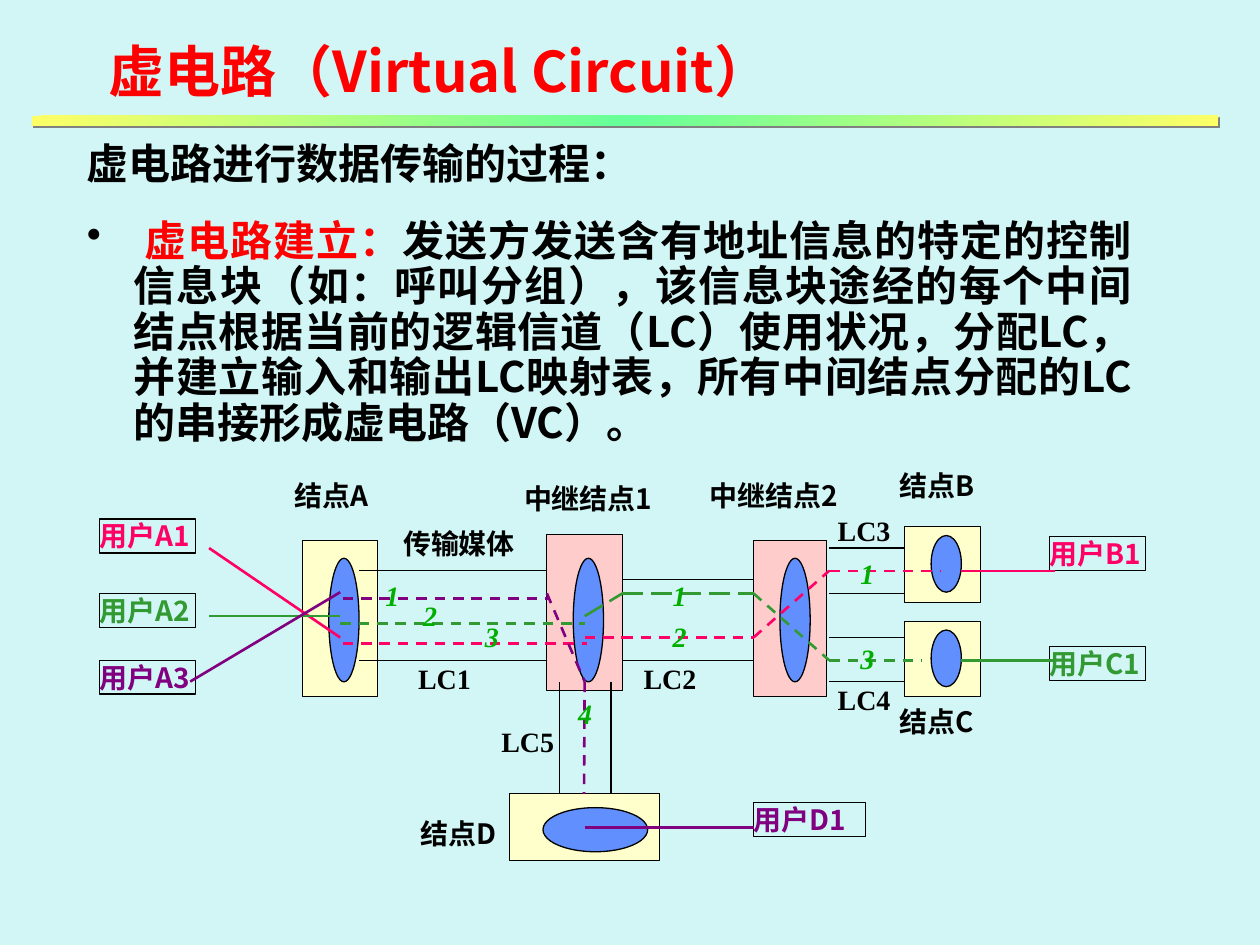
import copy
import dataclasses
import itertools

import lxml.etree
import pptx
import pptx.dml.color
import pptx.enum.dml
import pptx.enum.shapes
import pptx.enum.text
import pptx.oxml.ns
import pptx.util

Pt = pptx.util.Pt
qn = pptx.oxml.ns.qn
SHAPE = pptx.enum.shapes.MSO_SHAPE
DASH = pptx.enum.dml.MSO_LINE.DASH
LONG_DASH = pptx.enum.dml.MSO_LINE.LONG_DASH


@dataclasses.dataclass(frozen=True)
class Theme:
    background: str = "D2F6F5"
    black: str = "000000"
    red: str = "FF0000"
    pink: str = "FF0066"
    green: str = "339933"
    purple: str = "800080"
    channel: str = "00AE00"
    node: str = "FFFFCC"
    relay: str = "FFCCCC"
    table: str = "618FFD"
    bar: tuple = ("FFFF66", "66FF99", "FFFF66")
    shadow: str = "808080"
    sans: str = "Noto Sans CJK SC"
    serif: str = "Times New Roman"
    title_size: int = 32
    body_size: int = 24
    label_size: int = 16
    leading: float = 1.2


THEME = Theme()


def rgb(value):
    return pptx.dml.color.RGBColor.from_string(value)


def add_span(para, text, size, color, font=THEME.sans, italic=False):
    span = para.add_run()
    span.text = text
    span.font.size = Pt(size)
    span.font.bold = True
    span.font.italic = italic
    span.font.color.rgb = rgb(color)
    span.font.name = font
    lxml.etree.SubElement(span.font._element, qn("a:ea"), typeface=font)


def prepare_frame(box, inset, wrap):
    frame = box.text_frame
    frame.word_wrap = wrap
    frame.margin_left = frame.margin_right = Pt(inset[0])
    frame.margin_top = frame.margin_bottom = Pt(inset[1])
    frame.vertical_anchor = pptx.enum.text.MSO_ANCHOR.TOP
    return frame


def write_text(box, text, size=THEME.label_size, color=THEME.black, font=THEME.sans,
               italic=False, inset=(0, 0), wrap=True):
    para = prepare_frame(box, inset, wrap).paragraphs[0]
    para.alignment = pptx.enum.text.PP_ALIGN.LEFT
    if font == THEME.sans:
        para.line_spacing = Pt(size * THEME.leading)
    add_span(para, text, size, color, font, italic)


def add_text(page, text, left, top, width, height=19.4, **style):
    box = page.shapes.add_textbox(Pt(left), Pt(top), Pt(width), Pt(height))
    write_text(box, text, **style)


def add_figure(page, kind, left, top, width, height, fill=None, weight=0.75):
    figure = page.shapes.add_shape(kind, Pt(left), Pt(top), Pt(width), Pt(height))
    figure.shadow.inherit = False
    if fill:
        figure.fill.solid()
        figure.fill.fore_color.rgb = rgb(fill)
    else:
        figure.fill.background()
    figure.line.color.rgb = rgb(THEME.black)
    figure.line.width = Pt(weight)
    return figure


def add_node(page, fill, frame, table):
    node = add_figure(page, SHAPE.RECTANGLE, *frame, fill=fill, weight=0.5)
    add_figure(page, SHAPE.OVAL, *table, fill=THEME.table)
    return node


def add_user(page, text, left, top, color, width=54.7):
    box = add_figure(page, SHAPE.RECTANGLE, left, top, width, 19.4)
    write_text(box, text, color=color)


def add_route(page, points, color=THEME.black, weight=1.5, dash=None):
    """Draw one straight line per hop and return the last one."""
    for start, end in itertools.pairwise(points):
        line = page.shapes.add_connector(
            pptx.enum.shapes.MSO_CONNECTOR.STRAIGHT, *map(Pt, start + end))
        line.line.color.rgb = rgb(color)
        line.line.width = Pt(weight)
        if dash:
            line.line.dash_style = dash
        lxml.etree.SubElement(line._element.spPr, qn("a:effectLst"))
    return line


def add_title(page):
    add_text(page, "虚电路（Virtual Circuit）", 54.7, 17.3, 413.3, 46.1,
             size=THEME.title_size, color=THEME.red, inset=(7.2, 3.6), wrap=False)
    # Gradient rule with a hard shadow
    bar = add_figure(page, SHAPE.RECTANGLE, 18, 66.2, 678.2, 5.8)
    bar.line.fill.background()
    bar.fill.gradient()
    bar.fill.gradient_angle = 135
    stops = bar._element.spPr.find(".//" + qn("a:gsLst"))
    stops.insert(1, copy.deepcopy(stops[0]))
    for index, stop in enumerate(bar.fill.gradient_stops):
        stop.position = index / 2
        stop.color.rgb = rgb(THEME.bar[index])
    effects = bar._element.spPr.find(qn("a:effectLst"))
    shadow = lxml.etree.SubElement(effects, qn("a:outerShdw"), blurRad="0",
                                   dist=str(int(Pt(1.4))), dir=str(45 * 60000))
    lxml.etree.SubElement(shadow, qn("a:srgbClr"), val=THEME.shadow)


def add_body(page):
    box = page.shapes.add_textbox(Pt(41.8), Pt(77.8), Pt(612), Pt(192.2))
    frame = prepare_frame(box, (7.2, 3.6), True)
    heading, point = frame.paragraphs[0], frame.add_paragraph()
    for para in (heading, point):
        properties = para._p.get_or_add_pPr()
        properties.set("marL", str(int(Pt(27.4))))
        properties.set("indent", str(int(Pt(-26.6))))
        para.alignment = pptx.enum.text.PP_ALIGN.JUSTIFY
        para.line_spacing = Pt(26)
        para.space_after = Pt(12)
    point.space_before = Pt(6)
    bullet = lxml.etree.SubElement(point._p.pPr, qn("a:buClr"))
    lxml.etree.SubElement(bullet, qn("a:srgbClr"), val=THEME.black)
    lxml.etree.SubElement(point._p.pPr, qn("a:buChar"), char="•")
    add_span(heading, "虚电路进行数据传输的过程：", THEME.body_size, THEME.black)
    add_span(point, " ", THEME.body_size, THEME.black)
    add_span(point, "虚电路建立：", THEME.body_size, THEME.red)
    add_span(point, "发送方发送含有地址信息的特定的控制信息块（如：呼叫分组），"
             "该信息块途经的每个中间结点根据当前的逻辑信道（LC）使用状况，分配LC，"
             "并建立输入和输出LC映射表，所有中间结点分配的LC的串接形成虚电路（VC）。",
             THEME.body_size, THEME.black)


def add_network(page):
    # Nodes with their mapping tables
    for fill, left, top, width, table_left in (
            (THEME.node, 172.8, 308.9, 43.2, 187.9),
            (THEME.relay, 312.5, 305.3, 43.2, 327.6),
            (THEME.relay, 430.6, 308.9, 41.8, 445.7)):
        add_node(page, fill, (left, top, width, 89.3), (table_left, 319, 17.3, 70.6))
    for top in (301, 355):
        add_node(page, THEME.node, (517, top, 43.2, 43.2), (532.1, top + 5, 17.3, 32.4))
    node_d = add_node(page, THEME.node, (290.9, 453.6, 85.7, 38.2),
                      (310.3, 461.5, 59.8, 25.2))

    # Media between nodes
    for left, right, heights in ((205.2, 312.5, (326.2, 377.3)),
                                 (355.7, 430.6, (331.2, 377.3)),
                                 (473.8, 517, (313.2, 339.1, 364.3, 389.5))):
        for y in heights:
            add_route(page, [(left, y), (right, y)], weight=0.75)
    for x in (319.7, 349.2):
        add_route(page, [(x, 389.5), (x, 453.6)], weight=0.75)

    # Users and node names
    for text, left, top, color in (
            ("用户A1", 56.9, 296.6, THEME.pink), ("用户A2", 56.9, 339.1, THEME.green),
            ("用户A3", 56.9, 377.3, THEME.purple), ("用户B1", 599.8, 306.7, THEME.pink),
            ("用户C1", 599.8, 369.4, THEME.green)):
        add_user(page, text, left, top, color)
    add_user(page, "用户D1", 430.6, 458.6, THEME.purple, width=64.1)
    for text, left, top in (("结点A", 168.5, 273.6), ("结点B", 514.1, 267.8),
                            ("结点C", 514.1, 402.5), ("结点D", 240.5, 466.6)):
        add_text(page, text, left, top, 45.4)
    for text, left, top, width in (("中继结点1", 299.5, 275, 77),
                                   ("中继结点2", 405.4, 273.6, 80.6),
                                   ("传输媒体", 230.4, 301, 64.1)):
        add_text(page, text, left, top, width, wrap=False)
    return node_d


def add_circuits(page, node_d):
    # User lines
    for color, points in (
            (THEME.pink, [(119.5, 313.2), (194.4, 364.3)]),
            (THEME.green, [(119.5, 352.1), (194.4, 352.1)]),
            (THEME.purple, [(108.7, 389.5), (194.4, 338.4)]),
            (THEME.pink, [(549.4, 326.2), (602.6, 326.2)]),
            (THEME.green, [(549.4, 377.3), (602.6, 377.3)]),
            (THEME.purple, [(334.1, 473), (430.6, 473)])):
        add_route(page, points, color)

    # Virtual circuits
    for color, dash, points in (
            (THEME.pink, DASH, [(195.8, 367.9), (335.5, 367.9)]),
            (THEME.pink, DASH, [(334.1, 364.3), (355.7, 364.3), (430.6, 364.3),
                                (473.8, 326.2), (537.8, 326.2)]),
            (THEME.green, DASH, [(194.4, 356.4), (334.1, 356.4)]),
            (THEME.green, LONG_DASH, [(334.1, 352.1), (355.7, 339.1), (430.6, 339.1)]),
            (THEME.green, DASH, [(430.6, 339.1), (473.8, 377.3), (527, 377.3)]),
            (THEME.purple, DASH, [(195.8, 342), (313.9, 342)])):
        add_route(page, points, color, dash=dash)
    branch = add_route(page, [(312.5, 339.1), (334.1, 389.5), (334.1, 453.6)],
                       THEME.purple, dash=DASH)
    branch.end_connect(node_d, 0)

    # Channel numbers and group names
    serif = dict(font=THEME.serif, inset=(7.2, 3.6), wrap=False)
    for text, left, top in (("1", 213.1, 326.9), ("2", 234.7, 338.4), ("3", 270, 350.6),
                            ("1", 377.3, 326.9), ("2", 377.3, 350.6), ("1", 484.6, 314.6),
                            ("3", 484.6, 362.9), ("4", 323.3, 394.6)):
        add_text(page, text, left, top, 22.3, 26.6, color=THEME.channel, italic=True, **serif)
    for text, left, top in (("LC1", 231.8, 374.4), ("LC2", 360.7, 374.4),
                            ("LC3", 471.6, 290.2), ("LC4", 471.6, 386.6),
                            ("LC5", 279.4, 410.4)):
        add_text(page, text, left, top, 44.6, 26.6, **serif)


def main():
    deck = pptx.Presentation()
    deck.slide_width, deck.slide_height = Pt(720), Pt(540)
    page = deck.slides.add_slide(deck.slide_layouts[6])
    page.background.fill.solid()
    page.background.fill.fore_color.rgb = rgb(THEME.background)
    add_body(page)
    add_title(page)
    node_d = add_network(page)
    add_circuits(page, node_d)
    deck.save("out.pptx")


if __name__ == "__main__":
    main()
